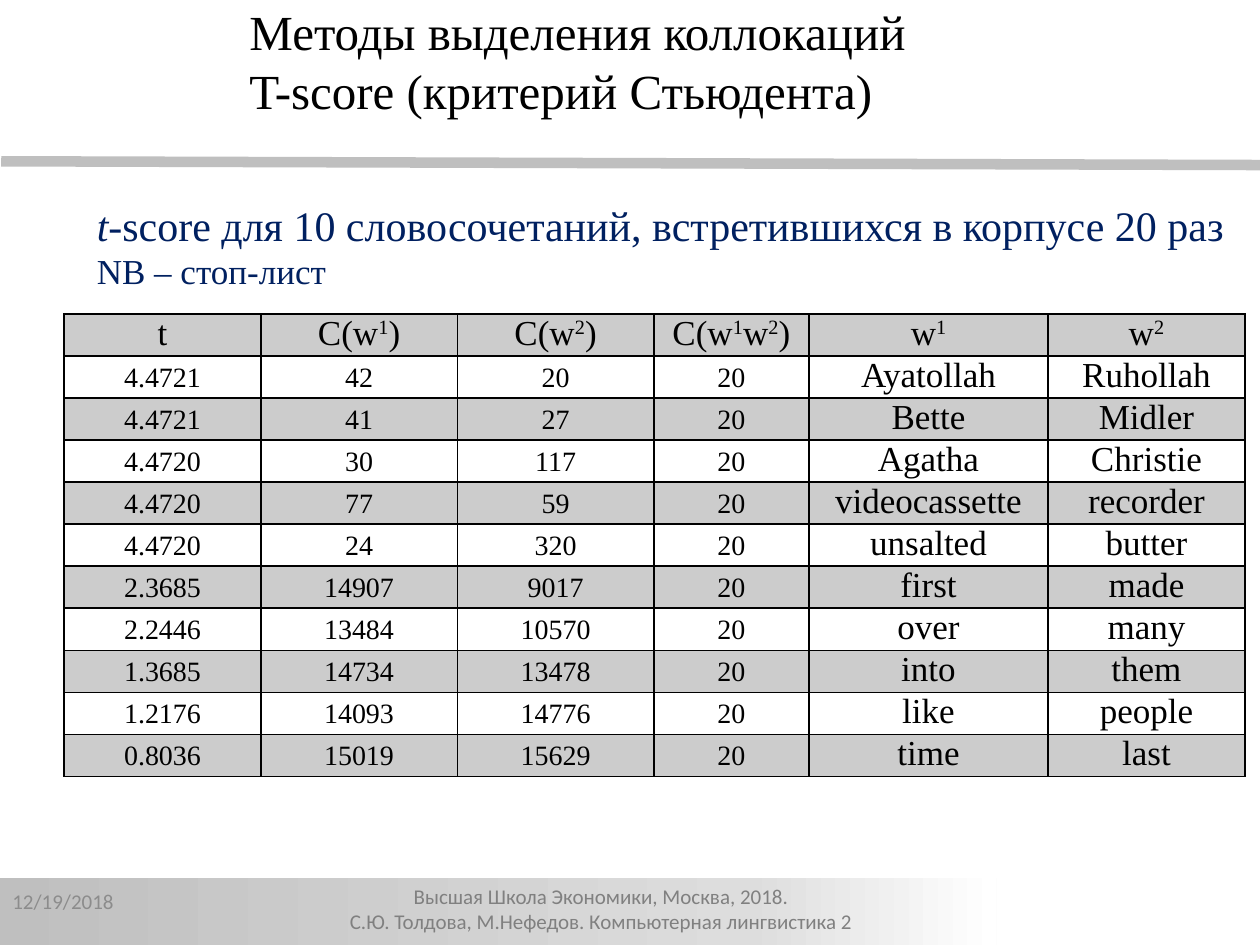
from copy import deepcopy

from lxml import etree
from pptx import Presentation
from pptx.dml.color import RGBColor
from pptx.enum.shapes import MSO_CONNECTOR, MSO_SHAPE
from pptx.enum.text import MSO_ANCHOR, MSO_AUTO_SIZE, PP_ALIGN
from pptx.oxml.ns import qn
from pptx.util import Inches, Pt

LEFT, CENTER = PP_ALIGN.LEFT, PP_ALIGN.CENTER
TOP, MIDDLE = MSO_ANCHOR.TOP, MSO_ANCHOR.MIDDLE
SERIF, SANS = "Times New Roman", "Calibri"
color = RGBColor.from_string


def write_text(frame, paragraphs, size=20, font=SERIF, ink="000000", align=LEFT,
               anchor=TOP, small_caps=False):
    """Each paragraph is a list of (text, overrides) runs."""
    frame.word_wrap = True
    frame.vertical_anchor = anchor
    for index, runs in enumerate(paragraphs):
        paragraph = frame.paragraphs[0] if index == 0 else frame.add_paragraph()
        paragraph.alignment = align
        for text, overrides in runs:
            run = paragraph.add_run()
            run.text = text
            run.font.name = font
            run.font.size = Pt(overrides.get("size", size))
            run.font.bold = False
            run.font.italic = overrides.get("italic", False)
            run.font.color.rgb = color(ink)
            properties = run._r.get_or_add_rPr()
            if small_caps:
                properties.set("cap", "small")
            if overrides.get("superscript"):
                properties.set("baseline", "30000")


def format_cell(cell, shaded):
    """Black 1 pt borders; shaded cells get black at 20 % opacity."""
    cell.margin_left = cell.margin_right = Inches(0.07)
    cell.margin_top = cell.margin_bottom = 0
    properties = cell._tc.get_or_add_tcPr()
    for side in ("a:lnL", "a:lnR", "a:lnT", "a:lnB"):
        border = etree.SubElement(properties, qn(side), w=str(Pt(1)))
        solid = etree.SubElement(border, qn("a:solidFill"))
        etree.SubElement(solid, qn("a:srgbClr"), val="000000")
    if shaded:
        cell.fill.solid()
        cell.fill.fore_color.rgb = color("000000")
        black = properties.find(qn("a:solidFill")).find(qn("a:srgbClr"))
        etree.SubElement(black, qn("a:alpha"), val="20000")
    else:
        cell.fill.background()


presentation = Presentation()
presentation.slide_width, presentation.slide_height = Inches(10), Inches(7.5)
slide = presentation.slides.add_slide(presentation.slide_layouts[5])
shapes = slide.shapes

# Rule under the title
rule = shapes.add_connector(MSO_CONNECTOR.STRAIGHT, Inches(0.01), Inches(1.28),
                            Inches(10.02), Inches(1.31))
rule.line.color.rgb = color("BFBFBF")
rule.line.width = Pt(6)
etree.SubElement(rule._element.spPr, qn("a:effectLst"))

# Footer band, fading to white
band = shapes.add_shape(MSO_SHAPE.RECTANGLE, Inches(-0.01), Inches(6.97),
                        Inches(7.92), Inches(0.57))
band.shadow.inherit = False
band.line.fill.background()
band.fill.gradient()
band.fill.gradient_angle = 0
stop_list = band._element.spPr.find(qn("a:gradFill")).find(qn("a:gsLst"))
stop_list.append(deepcopy(stop_list[-1]))
fade = [(0, "BFBFBF"), (0.75, "DDDDDD"), (1, "FFFFFF")]
for stop, (position, shade) in zip(band.fill.gradient_stops, fade):
    stop.position = position
    stop.color.rgb = color(shade)

# Footer and date
footer = shapes.add_textbox(Inches(1.91), Inches(6.96), Inches(5.76), Inches(0.45))
write_text(footer.text_frame,
           [[("Высшая Школа Экономики, Москва, 2018. ", {})],
            [("С.Ю. Толдова, М.Нефедов. Компьютерная лингвистика 2 ", {})]],
           size=12, font=SANS, ink="808080", align=CENTER)
date = shapes.add_textbox(0, Inches(6.95), Inches(2.33), Inches(0.4))
write_text(date.text_frame, [[("12/19/2018", {})]],
           size=12, font=SANS, ink="8C8C8C", anchor=MIDDLE)

# Title
title = shapes.title
title.left, title.top = Inches(1.88), Inches(-0.04)
title.width, title.height = Inches(5.88), Inches(1.04)
write_text(title.text_frame,
           [[("Методы выделения коллокаций", {})],
            [("T-score (критерий Стьюдента)", {})]], size=28)
title.text_frame.auto_size = MSO_AUTO_SIZE.SHAPE_TO_FIT_TEXT

# Table caption
caption = shapes.add_textbox(Inches(0.67), Inches(1.53), Inches(9.37), Inches(0.84))
write_text(caption.text_frame,
           [[("t", {"italic": True}),
             ("-score для 10 словосочетаний, встретившихся в корпусе 20 раз", {})],
            [("NB – стоп-лист", {"size": 20})]],
           size=24, ink="002060", anchor=MIDDLE)
caption.text_frame.auto_size = MSO_AUTO_SIZE.SHAPE_TO_FIT_TEXT

# Collocation table; digits after w in the header are superscripts
header = ["t", "C(w1)", "C(w2)", "C(w1w2)", "w1", "w2"]
collocations = [
    ("4.4721", "42", "20", "20", "Ayatollah", "Ruhollah"),
    ("4.4721", "41", "27", "20", "Bette", "Midler"),
    ("4.4720", "30", "117", "20", "Agatha", "Christie"),
    ("4.4720", "77", "59", "20", "videocassette", "recorder"),
    ("4.4720", "24", "320", "20", "unsalted", "butter"),
    ("2.3685", "14907", "9017", "20", "first", "made"),
    ("2.2446", "13484", "10570", "20", "over", "many"),
    ("1.3685", "14734", "13478", "20", "into", "them"),
    ("1.2176", "14093", "14776", "20", "like", "people"),
    ("0.8036", "15019", "15629", "20", "time", "last"),
]
rows = [header] + collocations
column_widths = [1.56, 1.56, 1.56, 1.23, 1.9, 1.56]
table = shapes.add_table(len(rows), len(header), Inches(0.51), Inches(2.49),
                         Inches(sum(column_widths)), Inches(3.67)).table
table.first_row = table.horz_banding = False
for column, width in zip(table.columns, column_widths):
    column.width = Inches(width)
for row_index, row in enumerate(rows):
    for column_index, value in enumerate(row):
        cell = table.cell(row_index, column_index)
        format_cell(cell, shaded=row_index % 2 == 0)
        if row_index == 0:
            runs = [(mark, {"superscript": mark.isdigit()}) for mark in
                    value.replace("1", "|1|").replace("2", "|2|").split("|") if mark]
        else:
            runs = [(value, {})]
        is_number = row_index > 0 and column_index < 4
        write_text(cell.text_frame, [runs], align=CENTER, small_caps=is_number)

presentation.save("out.pptx")
